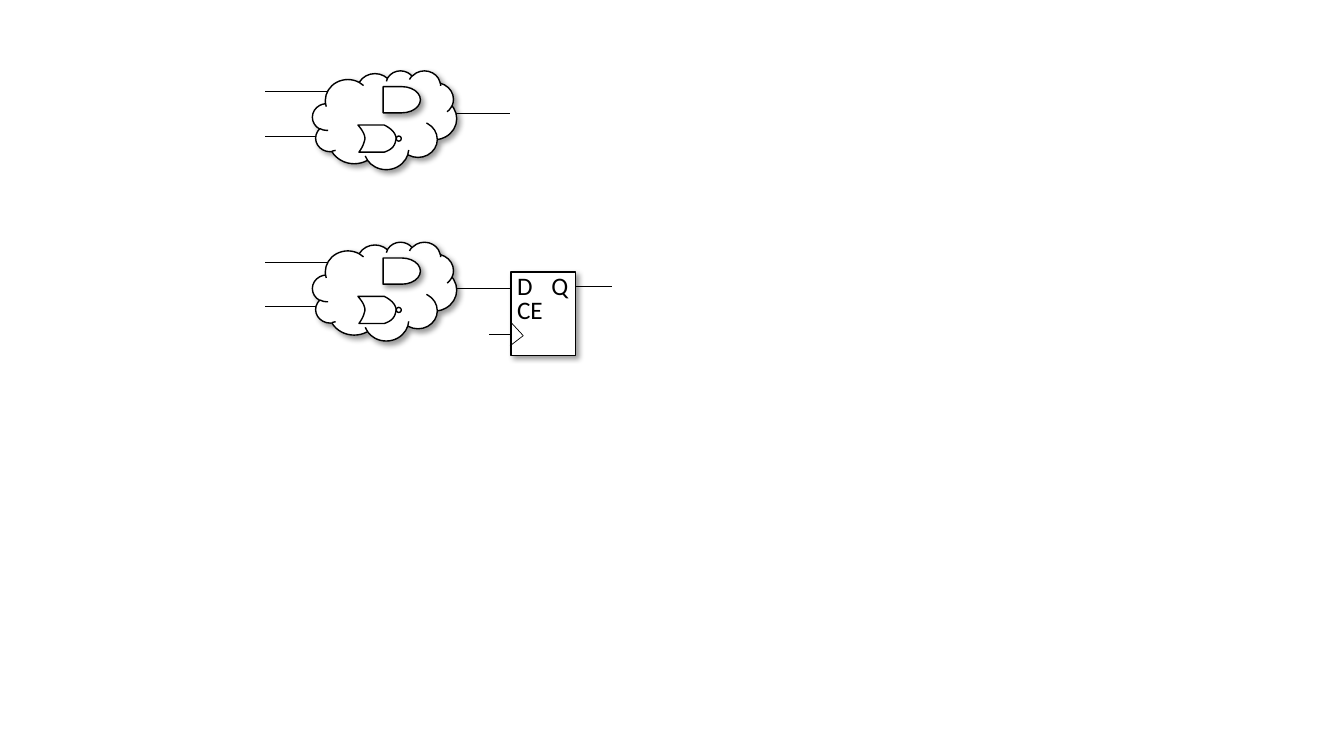
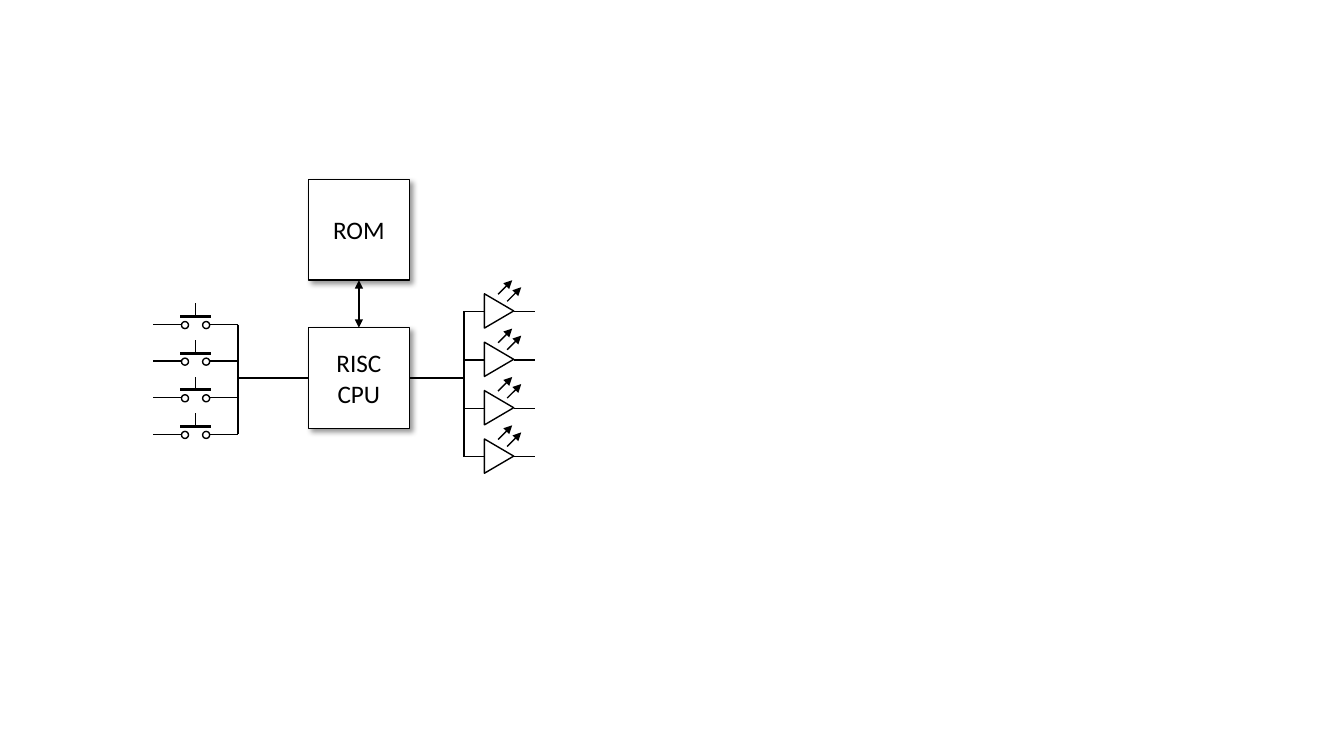
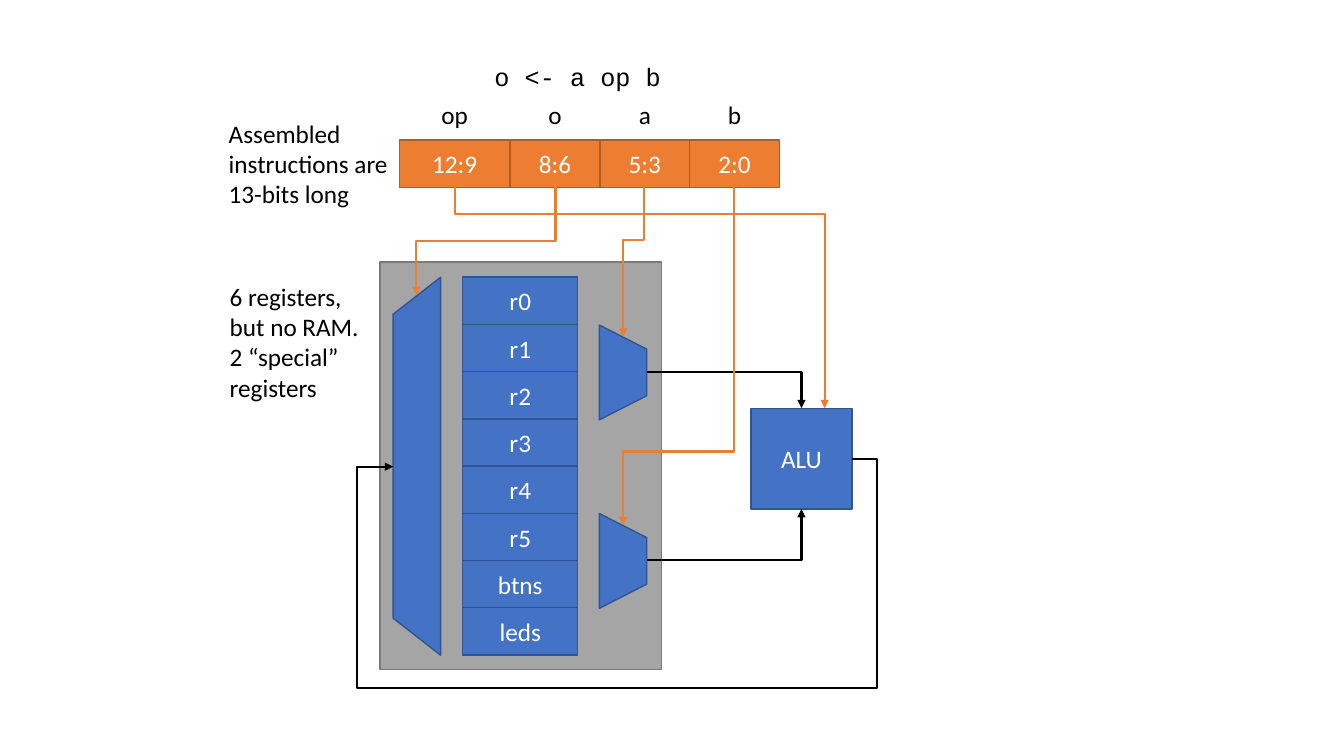
from lxml import etree
from pptx import Presentation
from pptx.dml.color import RGBColor
from pptx.enum.shapes import MSO_CONNECTOR, MSO_SHAPE
from pptx.enum.text import MSO_ANCHOR, MSO_AUTO_SIZE, PP_ALIGN
from pptx.oxml.ns import qn
from pptx.util import Inches, Pt

RECT, OVAL, CLOUD = MSO_SHAPE.RECTANGLE, MSO_SHAPE.OVAL, MSO_SHAPE.CLOUD
DELAY, TRAP = MSO_SHAPE.FLOWCHART_DELAY, MSO_SHAPE.TRAPEZOID
TRI = MSO_SHAPE.FLOWCHART_EXTRACT
LINE, ELBOW = MSO_CONNECTOR.STRAIGHT, MSO_CONNECTOR.ELBOW
LEFT, MID = PP_ALIGN.LEFT, PP_ALIGN.CENTER
CENTER, FIT = MSO_ANCHOR.MIDDLE, MSO_AUTO_SIZE.SHAPE_TO_FIT_TEXT

BLACK, WHITE = "000000", "FFFFFF"
BLUE, NAVY = "4472C4", "325491"
ORANGE, RUST = "ED7D31", "AF5C24"
GRAY, SLATE = "A5A5A5", "7A7A7A"
FONT, MONO = "Calibri", "Courier New"

LOGIC = [
    (0.7, (0.91, 1.35), (4.37, 1.12)),
    (2.4, (2.6, 3.04), (3.99, 2.86)),
]
NOR = [
    [(0.07, 0.14), (0.07, 0.11), (0.06, 0.07), (0, 0)],
    [(0.26, 0), (0.32, 0.03), (0.37, 0.07), (0.38, 0.13)],
    [(0.38, 0.13), (0.37, 0.2), (0.35, 0.24), (0.26, 0.27)],
    [(0.01, 0.27), (0.06, 0.2), (0.06, 0.17), (0.07, 0.14)],
]
PINS = [("D", 5.03, 2.63, 0.36), ("Q", 5.37, 2.63, 0.37), ("CE", 5.03, 2.87, 0.46)]
FLOP = [
    ((5.07, 3.2), (5.19, 3.33)),
    ((5.06, 3.43), (5.19, 3.33)),
    ((5.71, 2.84), (6.07, 2.84)),
    ((4.85, 3.32), (5.06, 3.32)),
]

KEYS, LEDS = (3.22, 4.31), (3.09, 4.53)

REGS = ["r0", "r1", "r2", "r3", "r4", "r5", "btns", "leds"]
FIELDS = [
    ("op", "12:9", 1.1, 0.47),
    ("o", "8:6", 0.89, 0.34),
    ("a", "5:3", 0.89, 0.32),
    ("b", "2:0", 0.89, 0.34),
]
MUXES = [
    (5.71, 3.46, 0.94, 90, 0.51),
    (2.26, 4.39, 3.75, 270, 0.78),
    (5.71, 5.33, 0.94, 90, 0.51),
]
DROPS = [
    ((5.51, 1.86), (4.13, 2.93), 2.39),
    ((6.39, 1.86), (6.18, 3.34), 2.38),
    ((7.28, 1.86), (6.18, 5.21), 4.48),
    ((4.51, 1.86), (8.18, 4.05), 2.12),
]
FEEDS = [((6.42, 3.69), (7.95, 4.05)), ((6.42, 5.56), (7.95, 5.05))]
LOOP = ((8.45, 4.55), (3.9, 4.63), (8.7, 6.83, 3.54))
NOTES = [
    ("o <- a op b", (4.8, 0.56, 1.86, 0.4), False, MONO, MID),
    ("Assembled instructions are 13-bits long", (2.17, 1.12, 1.78, 1.01), True, FONT, LEFT),
    ("6 registers, but no RAM. 2 “special” registers", (2.18, 2.74, 1.58, 1.31), True, FONT, LEFT),
]


def rgb(code):
    return RGBColor.from_string(code)


def sub(node, tag, **attrs):
    return etree.SubElement(node, qn(tag), attrs)


def write(frame, text, color=BLACK, font=FONT, align=LEFT):
    para = frame.paragraphs[0]
    para.alignment = align
    run = para.add_run()
    run.text = text
    run.font.name, run.font.size = font, Pt(18)
    run.font.color.rgb = rgb(color)


def label(shapes, text, box, wrap=False, font=FONT, align=LEFT):
    frame = shapes.add_textbox(*map(Inches, box)).text_frame
    frame.word_wrap = wrap
    frame.auto_size = FIT
    write(frame, text, font=font, align=align)


def paint(shape, fill=WHITE, edge=BLACK, lift=False):
    shape.fill.solid()
    shape.fill.fore_color.rgb = rgb(fill)
    shape.line.color.rgb = rgb(edge)
    shape.line.width = Pt(1)
    shape.shadow.inherit = False
    if lift:
        effects = shape._element.spPr.find(qn("a:effectLst"))
        cast = sub(effects, "a:outerShdw", blurRad=str(Pt(4)), dist=str(Pt(3)),
                   dir="2700000", algn="tl", rotWithShape="0")
        tone = sub(cast, "a:srgbClr", val=BLACK)
        sub(tone, "a:alpha", val="40000")


def block(shapes, kind, box, fill=WHITE, edge=BLACK, text="", ink=BLACK, lift=False):
    shape = shapes.add_shape(kind, *map(Inches, box))
    paint(shape, fill, edge, lift)
    if text:
        shape.text_frame.vertical_anchor = CENTER
        write(shape.text_frame, text, ink, align=MID)
    return shape


def wire(shapes, start, end, width=1.0, color=BLACK, head=False, tail=False, kind=LINE):
    link = shapes.add_connector(kind, *map(Inches, (*start, *end)))
    link.line.color.rgb = rgb(color)
    link.line.width = Pt(width)
    props = link._element.spPr
    for tag, on in (("a:headEnd", head), ("a:tailEnd", tail)):
        if on:
            sub(props.find(qn("a:ln")), tag, type="triangle")
    sub(props, "a:effectLst")
    return link


def bend(shapes, start, end, color=BLACK, parts=3, ratios=()):
    link = wire(shapes, start, end, 1.5, color, tail=True, kind=ELBOW)
    geom = link._element.spPr.find(qn("a:prstGeom"))
    geom.set("prst", f"bentConnector{parts}")
    for old in geom.findall(qn("a:avLst")):
        geom.remove(old)
    guides = sub(geom, "a:avLst")
    for i, ratio in enumerate(ratios, 1):
        sub(guides, "a:gd", name=f"adj{i}", fmla=f"val {round(ratio * 100000)}")
    return link


def drop(shapes, start, end, rail):
    (x1, y1), (x2, y2) = start, end
    wide, high = y2 - y1, abs(x2 - x1)
    left, top = (x1 + x2 - wide) / 2, (y1 + y2 - high) / 2
    link = bend(shapes, (left, top), (left + wide, top + high), ORANGE,
                ratios=[(rail - y1) / wide])
    frame = link._element.spPr.find(qn("a:xfrm"))
    right = x2 > x1
    frame.set("rot", str((270 if right else 90) * 60000))
    if right:
        frame.set("flipH", "1")


def loop(shapes, start, end, rails):
    (x1, y1), (x2, y2) = start, end
    out, low, back = rails
    ratios = [(out - x1) / (x2 - x1), (low - y1) / (y2 - y1), (back - x1) / (x2 - x1)]
    bend(shapes, start, end, parts=5, ratios=ratios)


def curve(points, steps=8):
    for i in range(steps + 1):
        t = i / steps
        parts = ((1 - t) ** 3, 3 * t * (1 - t) ** 2, 3 * t * t * (1 - t), t ** 3)
        yield tuple(sum(k * p[axis] for k, p in zip(parts, points)) for axis in (0, 1))


def nor(shapes, left, top):
    group = shapes.add_group_shape().shapes
    dots = [(Inches(left + x), Inches(top + y)) for arc in NOR for x, y in curve(arc)]
    pen = group.build_freeform(*dots[0])
    pen.add_line_segments(dots[1:], close=True)
    paint(pen.convert_to_shape())
    block(group, OVAL, (left + 0.38, top + 0.11, 0.05, 0.05))


def cloud(shapes, top, rows, out):
    for y in rows:
        wire(shapes, (2.63, y), (3.32, y), 0.5)
    wire(shapes, out, (5.06, out[1]), 0.5)
    block(shapes, CLOUD, (3.1, top, 1.43, 0.98), lift=True)
    block(shapes, DELAY, (3.8, top + 0.16, 0.37, 0.26), lift=True)
    nor(shapes, 3.55, top + 0.54)


def key(shapes, y):
    group = shapes.add_group_shape().shapes
    wire(group, (1.52, y), (1.8, y))
    wire(group, (2.36, y), (2.08, y))
    for x in (1.8, 2.01):
        block(group, OVAL, (x, y - 0.03, 0.07, 0.07))
    wire(group, (1.79, y - 0.08), (2.09, y - 0.08), 2)
    wire(group, (1.94, y - 0.08), (1.94, y - 0.21))


def led(shapes, y):
    group = shapes.add_group_shape().shapes
    block(group, TRI, (4.78, y - 0.15, 0.34, 0.29)).rotation = 90
    wire(group, (4.81, y), (4.6, y))
    wire(group, (5.1, y), (5.31, y))
    for x, rise in ((5.03, 0.1), (4.94, 0.17)):
        wire(group, (x, y - rise), (x + 0.14, y - rise - 0.14), tail=True)


def spread(first, last, count=4):
    return [first + (last - first) * i / (count - 1) for i in range(count)]


def gates(shapes):
    for row in LOGIC:
        cloud(shapes, *row)
    block(shapes, RECT, (5.07, 2.7, 0.64, 0.83), lift=True)
    for start, end in FLOP:
        wire(shapes, start, end, 0.5)
    for text, x, y, wide in PINS:
        label(shapes, text, (x, y, wide, 0.4))


def board(shapes):
    rom = block(shapes, RECT, (3.06, 1.78, 1, 1), text="ROM", lift=True)
    cpu = block(shapes, RECT, (3.06, 3.25, 1, 1), text="RISC CPU", lift=True)
    for y in spread(*LEDS):
        led(shapes, y)
    for y in spread(*KEYS):
        key(shapes, y)
    for x, ends, edge, side in ((4.6, LEDS, 4.06, 3), (2.36, KEYS, 3.06, 1)):
        wire(shapes, (x, ends[0]), (x, ends[1]), 1.5)
        wire(shapes, (edge, 3.75), (x, 3.75), 1.5).begin_connect(cpu, side)
    bus = wire(shapes, (3.56, 2.78), (3.56, 3.25), 1.5, head=True, tail=True)
    bus.begin_connect(rom, 2)
    bus.end_connect(cpu, 0)


def core(shapes):
    block(shapes, RECT, (3.77, 2.6, 2.79, 4.04), GRAY, SLATE)
    for y, name in zip(spread(2.75, 6.03, len(REGS)), REGS):
        block(shapes, RECT, (4.59, y, 1.14, 0.47), BLUE, NAVY, name, WHITE)
    for x, y, wide, turn, slant in MUXES:
        mux = block(shapes, TRAP, (x, y, wide, 0.47), BLUE, NAVY)
        mux.rotation = turn
        mux.adjustments[0] = slant
    block(shapes, RECT, (7.45, 4.05, 1, 1), BLUE, NAVY, "ALU", WHITE)
    group = shapes.add_group_shape().shapes
    x = 3.96
    for name, bits, wide, room in FIELDS:
        block(group, RECT, (x, 1.39, wide, 0.47), ORANGE, RUST, bits, WHITE)
        label(group, name, (x + (wide - room) / 2, 0.94, room, 0.4), align=MID)
        x += wide
    for start, end in FEEDS:
        bend(shapes, start, end, parts=2)
    loop(shapes, *LOOP)
    for start, end, rail in DROPS:
        drop(shapes, start, end, rail)
    for note in NOTES:
        label(shapes, *note)


def main():
    deck = Presentation()
    deck.slide_width, deck.slide_height = Inches(13.33), Inches(7.5)
    for draw in (gates, board, core):
        draw(deck.slides.add_slide(deck.slide_layouts[6]).shapes)
    deck.save("out.pptx")


if __name__ == "__main__":
    main()
